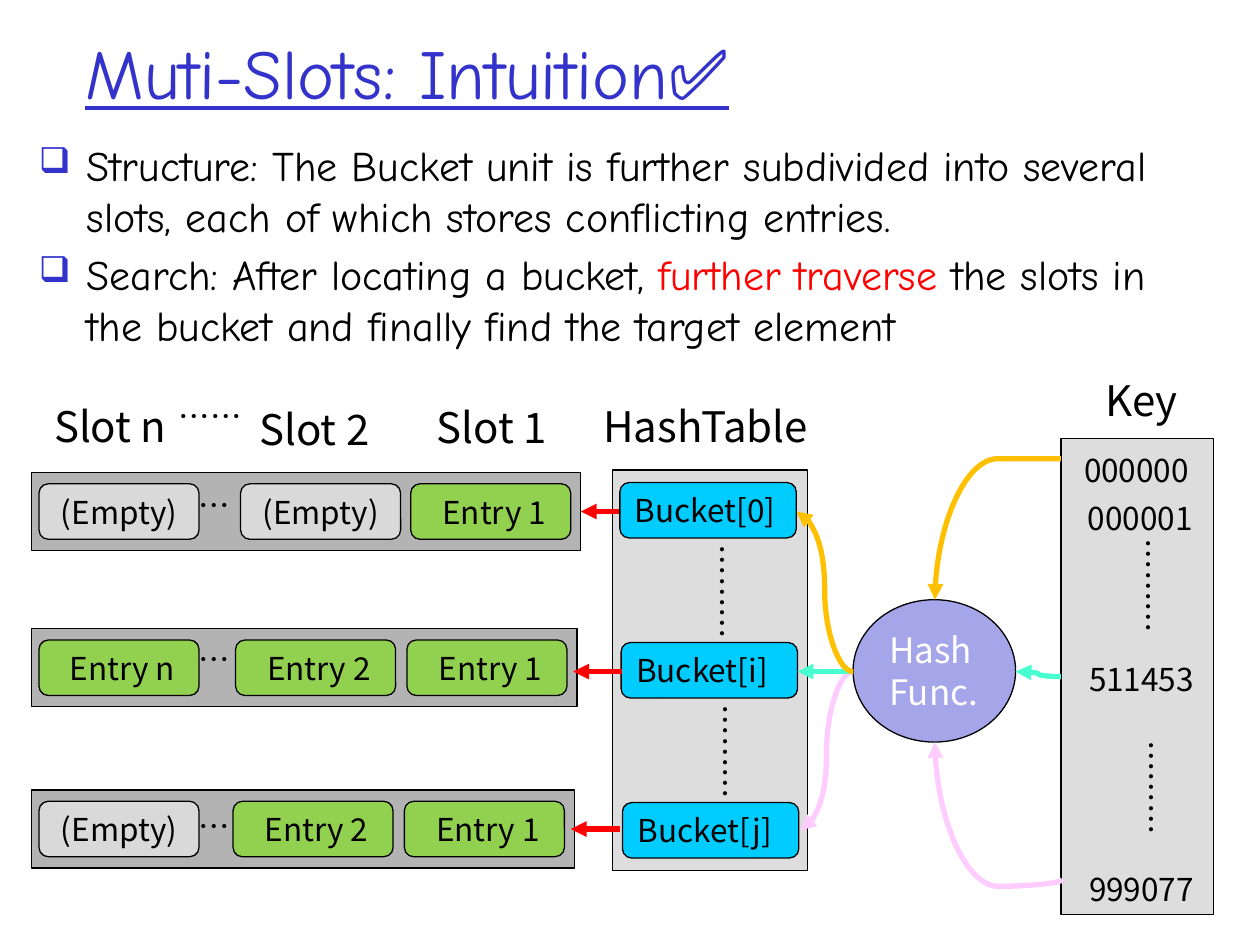
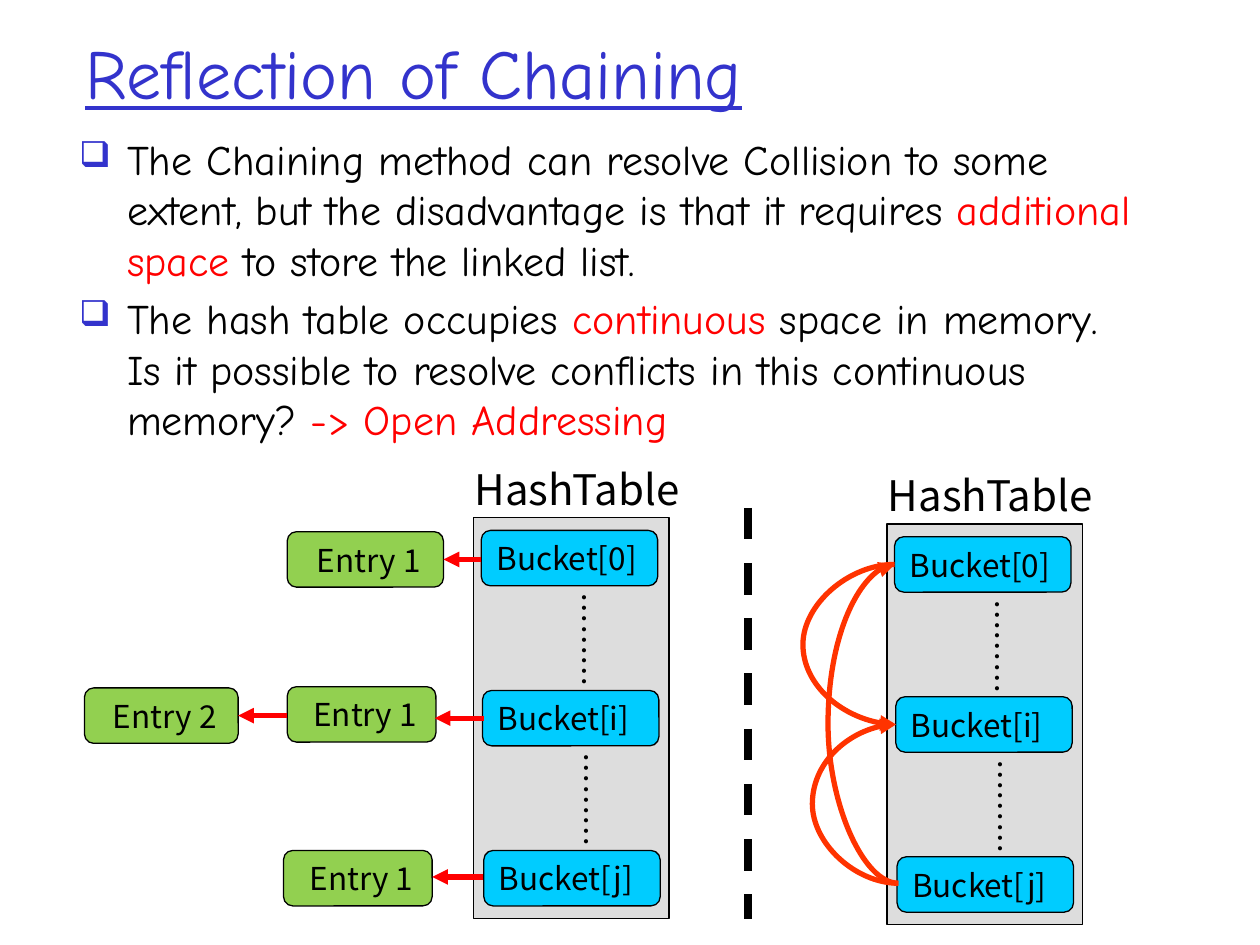
"""Build two slides on multi-slot hashing and the limits of chaining."""
from dataclasses import dataclass

from lxml import etree
from pptx import Presentation
from pptx import util as u
from pptx.dml.color import RGBColor
from pptx.enum import dml, shapes, text
from pptx.oxml.ns import qn


@dataclass(frozen=True)
class Theme:
    heading_font: str = "Comic Neue"
    diagram_font: str = "Noto Sans CJK JP"
    title_size: int = 40
    body_size: int = 24
    function_size: int = 20
    label_size: int = 18
    accent: str = "3333CC"
    ink: str = "000000"
    white: str = "FFFFFF"
    red: str = "FF0000"
    panel: str = "DDDDDD"
    band: str = "B3B3B3"
    empty: str = "D9D9D9"
    entry: str = "92D050"
    bucket: str = "00CCFF"
    function: str = "A5A5E9"
    orange: str = "FFC000"
    pink: str = "FFCCFF"
    mint: str = "47FFD1"
    probe: str = "FF3300"


THEME = Theme()
RECT = shapes.MSO_SHAPE.RECTANGLE
ROUND = shapes.MSO_SHAPE.ROUNDED_RECTANGLE
OVAL = shapes.MSO_SHAPE.OVAL
LEFT, CENTER = text.PP_ALIGN.LEFT, text.PP_ALIGN.CENTER

BUCKETS = ["Bucket[0]", "Bucket[i]", "Bucket[j]"]
DOTS = "………"
SLOT_SIZE = (1.27, 0.44)

MULTI_SLOT = {
    "title": "Muti-Slots: Intuition✅",
    "body_box": (0.21, 1.06, 9.42, 1.84),
    "body": [
        [("Structure: The Bucket unit is further subdivided into several slots, "
          "each of which stores conflicting entries.", None)],
        [("Search: After locating a bucket, ", None),
         ("further traverse ", THEME.red),
         ("the slots in the bucket and finally find the target element", None)],
    ],
    "tables": [((4.86, 3.73), (4.47, 3.13))],
}
CHAINING = {
    "title": "Reflection of Chaining",
    "body_box": (0.53, 1.01, 8.61, 3),
    "body": [
        [("The Chaining method can resolve Collision to some extent, but the "
          "disadvantage is that it requires ", None),
         ("additional space ", THEME.red),
         ("to store the linked list.", None)],
        [("The hash table occupies ", None),
         ("continuous", THEME.red),
         (" space in memory. Is it possible to resolve conflicts in this "
          "continuous memory? ", None),
         ("-> Open Addressing", THEME.red)],
    ],
    "tables": [((3.76, 4.11), (3.45, 3.63)), ((7.04, 4.16), (6.73, 3.68))],
}

SLOT_ROWS = [
    (3.75, 4.36, 3.81, [(0.31, "(Empty)"), (1.91, "(Empty)"), (3.26, " Entry 1")]),
    (4.99, 4.33, 5.03, [(0.31, " Entry n"), (1.87, " Entry 2"), (3.23, " Entry 1")]),
    (6.27, 4.31, 6.36, [(0.31, "(Empty)"), (1.85, " Entry 2"), (3.21, " Entry 1")]),
]
SLOT_HEADINGS = [("Slot n", 0.22, 3.13), ("Slot 2", 1.84, 3.15), ("Slot 1", 3.25, 3.14)]
KEYS = [("000000", 7.89, 3.53), ("000001", 7.92, 3.91),
        ("511453", 7.93, 5.19), ("999077", 7.93, 6.86)]
KEY_DOTS = [(7.99, 4.45), (8.01, 6.05)]
SLOT_ARROWS = [((4.91, 4.06), (4.61, 4.06)), ((4.94, 5.33), (4.55, 5.33)),
               ((4.92, 6.58), (4.53, 6.58))]
HASH_CURVES = [
    ((8.42, 3.64), (7.42, 4.76), THEME.orange, 90, 0),
    ((8.43, 6.98), (7.42, 5.89), THEME.pink, 270, -0.05),
    ((8.42, 5.37), (8.06, 5.33), THEME.mint, 180, 0.5),
    ((6.77, 5.33), (6.35, 6.59), THEME.pink, 180, 0.5),
    ((6.77, 5.33), (6.33, 5.33), THEME.mint, 180, 0.5),
    ((6.77, 5.33), (6.32, 4.06), THEME.orange, 180, 0.5),
]

CHAIN_ENTRIES = [(" Entry 1", 2.28, 4.22, 1.24), (" Entry 1", 2.28, 5.45, 1.18),
                 (" Entry 2", 0.67, 5.46, 1.22), (" Entry 1", 2.25, 6.75, 1.18)]
CHAIN_ARROWS = [((3.82, 4.44), (3.52, 4.44)), ((3.84, 5.7), (3.45, 5.7)),
                ((3.83, 6.96), (3.43, 6.96)), ((2.28, 5.68), (1.89, 5.68))]
PROBES = [((7.13, 7.01), (7.1, 4.48), 6.57), ((7.13, 7.01), (7.11, 5.75), 6.45),
          ((7.1, 4.48), (7.11, 5.75), 6.36)]


def inches(values):
    return [u.Inches(value) for value in values]


def color(value):
    return RGBColor.from_string(value)


def style_paragraph(paragraph, font_name, size, ink):
    font = paragraph.font
    font.size = u.Pt(size)
    font.color.rgb = color(ink)
    font.name = font_name
    etree.SubElement(font._rPr, qn("a:ea"), typeface=font_name)
    return font


def add_text(slide, box, content, size=THEME.label_size, rotation=0):
    shape = slide.shapes.add_textbox(*inches(box))
    shape.rotation = rotation
    frame = shape.text_frame
    frame.word_wrap = True
    frame.auto_size = text.MSO_AUTO_SIZE.SHAPE_TO_FIT_TEXT
    paragraph = frame.paragraphs[0]
    paragraph.text = content
    paragraph.alignment = CENTER
    style_paragraph(paragraph, THEME.diagram_font, size, THEME.ink)


def add_dots(slide, left, top):
    add_text(slide, (left, top, 2.26, 0.4), DOTS, rotation=90)


def add_block(slide, kind, box, fill, content="", alignment=CENTER,
              size=THEME.label_size, ink=THEME.ink):
    shape = slide.shapes.add_shape(kind, *inches(box))
    shape.shadow.inherit = False
    shape.fill.solid()
    shape.fill.fore_color.rgb = color(fill)
    shape.line.color.rgb = color(THEME.ink)
    shape.line.width = u.Pt(0.75)
    if content:
        frame = shape.text_frame
        frame.word_wrap = True
        frame.vertical_anchor = text.MSO_ANCHOR.MIDDLE
        paragraph = frame.paragraphs[0]
        paragraph.text = content
        paragraph.alignment = alignment
        style_paragraph(paragraph, THEME.diagram_font, size, ink)


def add_line(slide, begin, end, ink, width=3, kind=shapes.MSO_CONNECTOR.STRAIGHT, arrow=True):
    connector = slide.shapes.add_connector(kind, *inches((*begin, *end)))
    connector.line.color.rgb = color(ink)
    connector.line.width = u.Pt(width)
    if arrow:
        etree.SubElement(connector.line._get_or_add_ln(), qn("a:tailEnd"), type="triangle")
    etree.SubElement(connector._element.spPr, qn("a:effectLst"))
    return connector


def add_curve(slide, begin, end, ink, turn, bend):
    (x1, y1), (x2, y2) = begin, end
    dx, dy = x2 - x1, y2 - y1
    width, height = {90: (dy, -dx), 180: (-dx, -dy), 270: (-dy, dx)}[turn]
    middle_x, middle_y = (x1 + x2) / 2, (y1 + y2) / 2
    connector = add_line(slide, (middle_x - width / 2, middle_y - height / 2),
                         (middle_x + width / 2, middle_y + height / 2),
                         ink, kind=shapes.MSO_CONNECTOR.CURVE)
    properties = connector._element.spPr
    properties.find(qn("a:xfrm")).set("rot", str(turn * 60000))
    geometry = properties.find(qn("a:prstGeom"))
    adjustments = geometry.find(qn("a:avLst"))
    if adjustments is None:
        adjustments = etree.SubElement(geometry, qn("a:avLst"))
    etree.SubElement(adjustments, qn("a:gd"), name="adj1", fmla=f"val {round(bend * 100000)}")


def add_bullet(paragraph):
    properties = paragraph._p.get_or_add_pPr()
    properties.set("marL", str(u.Inches(0.38)))
    properties.set("indent", str(-u.Inches(0.38)))
    bullet_color = etree.SubElement(properties, qn("a:buClr"))
    etree.SubElement(bullet_color, qn("a:srgbClr"), val=THEME.accent)
    etree.SubElement(properties, qn("a:buSzPct"), val="85000")
    etree.SubElement(properties, qn("a:buChar"), char="❑")


def add_title(slide, content):
    frame = slide.shapes.add_textbox(*inches((0.58, 0.25, 8.5, 0.63))).text_frame
    frame.word_wrap = True
    frame.vertical_anchor = text.MSO_ANCHOR.MIDDLE
    paragraph = frame.paragraphs[0]
    paragraph.text = content
    font = style_paragraph(paragraph, THEME.heading_font, THEME.title_size, THEME.accent)
    font.underline = True


def add_body(slide, box, items):
    frame = slide.shapes.add_textbox(*inches(box)).text_frame
    frame.word_wrap = True
    for index, pieces in enumerate(items):
        paragraph = frame.add_paragraph() if index else frame.paragraphs[0]
        add_bullet(paragraph)
        if index:
            paragraph.space_before = u.Pt(4.8)
        style_paragraph(paragraph, THEME.heading_font, THEME.body_size, THEME.ink)
        for content, ink in pieces:
            run = paragraph.add_run()
            run.text = content
            if ink:
                run.font.color.rgb = color(ink)


def add_hash_table(slide, corner, heading_corner):
    left, top = corner
    add_block(slide, RECT, (left, top, 1.55, 3.18), THEME.panel)
    add_text(slide, (*heading_corner, 2.26, 0.5), "HashTable", THEME.body_size)
    for index, name in enumerate(BUCKETS):
        box = (left + 0.06 + 0.01 * index, top + 0.1 + 1.27 * index, 1.4, 0.44)
        add_block(slide, ROUND, box, THEME.bucket, name, LEFT)
    for index in range(len(BUCKETS) - 1):
        add_dots(slide, left - 0.25 + 0.02 * index, top + 0.77 + 1.27 * index)


def add_base_slide(presentation, content):
    slide = presentation.slides.add_slide(presentation.slide_layouts[6])
    add_title(slide, content["title"])
    add_body(slide, content["body_box"], content["body"])
    for corner, heading_corner in content["tables"]:
        add_hash_table(slide, corner, heading_corner)
    return slide


def build_multi_slot(presentation):
    slide = add_base_slide(presentation, MULTI_SLOT)
    for top, width, dots_top, slots in SLOT_ROWS:
        add_block(slide, RECT, (0.25, top, width, 0.62), THEME.band)
        for left, name in slots:
            fill = THEME.empty if name == "(Empty)" else THEME.entry
            add_block(slide, ROUND, (left, top + 0.09, *SLOT_SIZE), fill, name)
        add_text(slide, (0.57, dots_top, 2.26, 0.4), "…")
    for name, left, top in SLOT_HEADINGS:
        add_text(slide, (left, top, 1.31, 0.5), name, THEME.body_size)
    add_text(slide, (0.54, 3.1, 2.26, 0.4), "……")
    add_block(slide, RECT, (8.42, 3.48, 1.21, 3.78), THEME.panel)
    add_text(slide, (7.93, 2.92, 2.26, 0.5), "Key", THEME.body_size)
    for key, left, top in KEYS:
        add_text(slide, (left, top, 2.26, 0.4), key)
    for left, top in KEY_DOTS:
        add_dots(slide, left, top)
    add_block(slide, OVAL, (6.77, 4.76, 1.29, 1.13), THEME.function, "Hash Func.",
              LEFT, THEME.function_size, THEME.white)
    for begin, end in SLOT_ARROWS:
        add_line(slide, begin, end, THEME.red)
    for curve in HASH_CURVES:
        add_curve(slide, *curve)


def build_chaining(presentation):
    slide = add_base_slide(presentation, CHAINING)
    for name, left, top, width in CHAIN_ENTRIES:
        add_block(slide, ROUND, (left, top, width, 0.44), THEME.entry, name)
    for begin, end in CHAIN_ARROWS:
        add_line(slide, begin, end, THEME.red)
    divider = add_line(slide, (5.94, 4.03), (5.94, 7.29), THEME.ink, 4.5, arrow=False)
    divider.line.dash_style = dml.MSO_LINE.DASH
    for begin, end, reach in PROBES:
        bend = (reach - begin[0]) / (end[0] - begin[0])
        add_curve(slide, begin, end, THEME.probe, 180, bend)


def main():
    presentation = Presentation()
    presentation.slide_width, presentation.slide_height = inches((10, 7.5))
    build_multi_slot(presentation)
    build_chaining(presentation)
    presentation.save("out.pptx")


if __name__ == "__main__":
    main()
